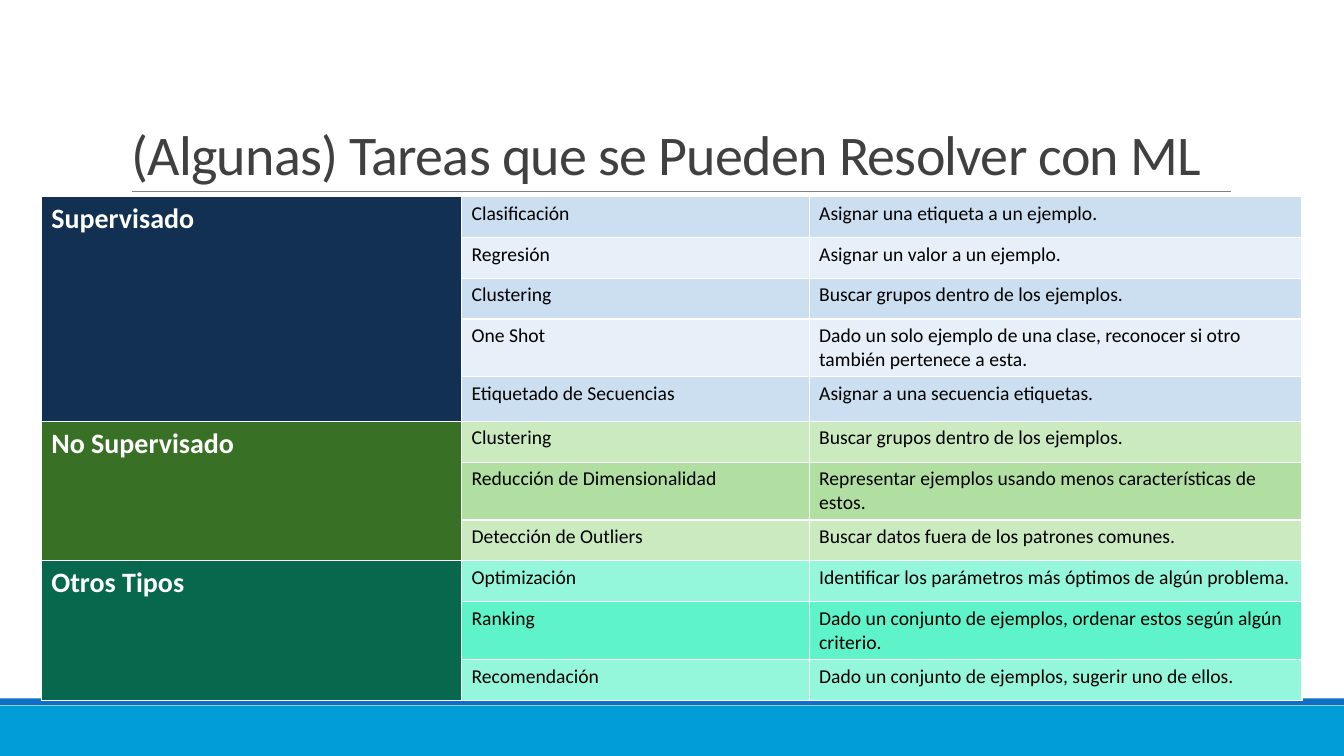
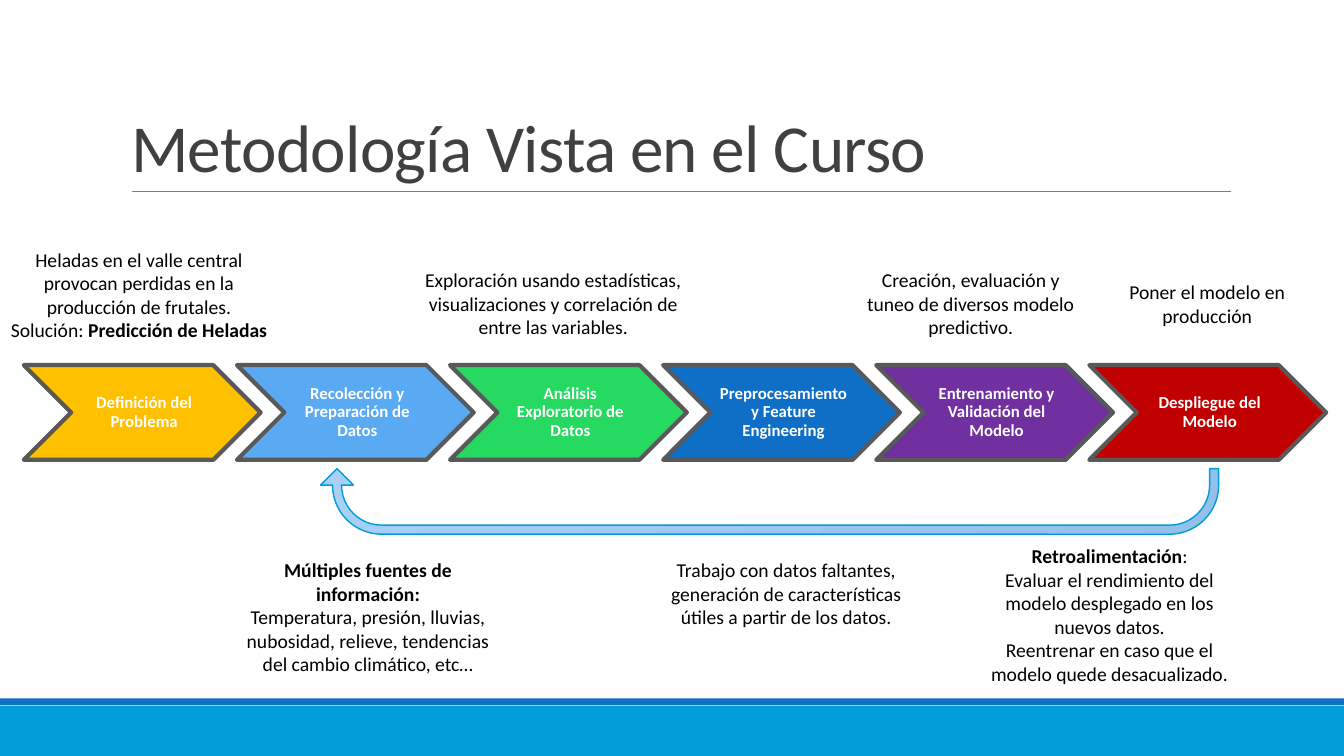
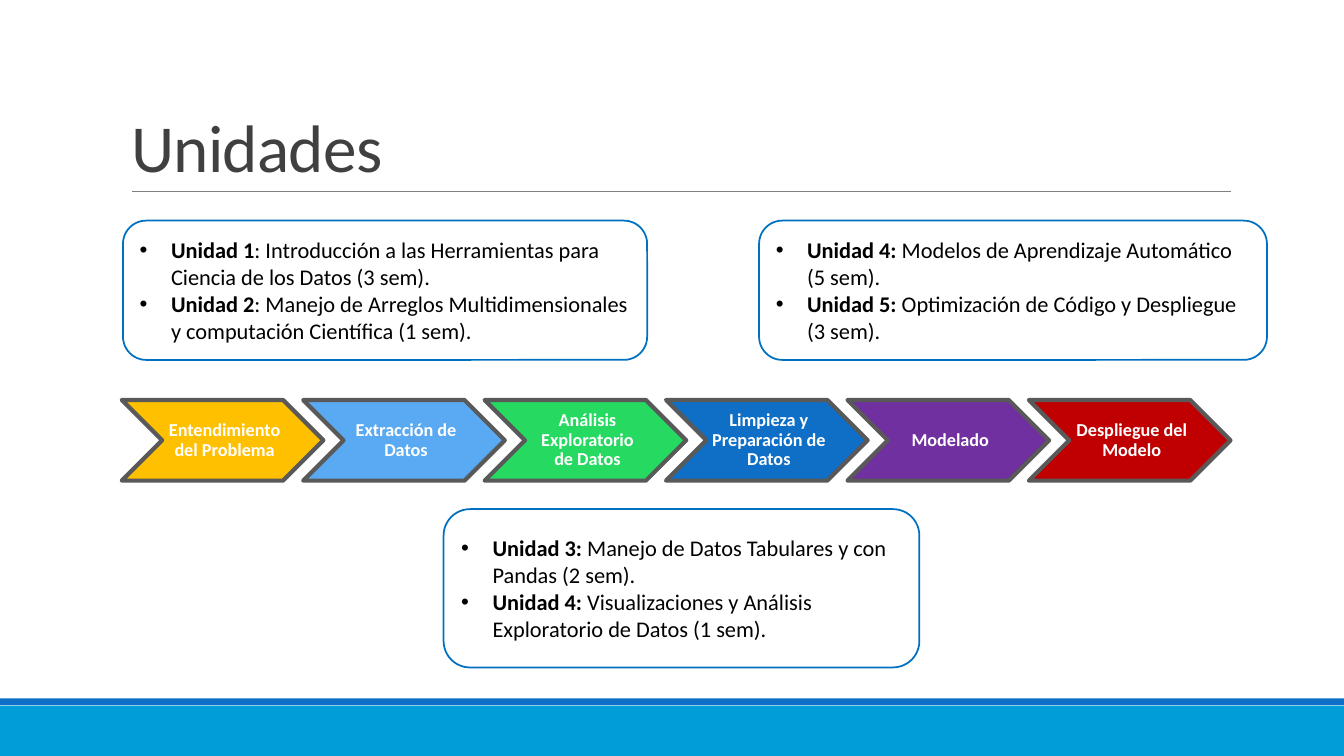
from pptx import Presentation
from pptx.dml.color import RGBColor
from pptx.enum.shapes import MSO_CONNECTOR, MSO_SHAPE
from pptx.enum.text import MSO_ANCHOR, PP_ALIGN
from pptx.oxml import parse_xml
from pptx.oxml.ns import nsdecls, qn
from pptx.util import Cm, Pt

RECT, ROUND = MSO_SHAPE.RECTANGLE, MSO_SHAPE.ROUNDED_RECTANGLE
CHEVRON, UTURN = MSO_SHAPE.CHEVRON, MSO_SHAPE.U_TURN_ARROW
STRAIGHT = MSO_CONNECTOR.STRAIGHT
MIDDLE, BOTTOM = MSO_ANCHOR.MIDDLE, MSO_ANCHOR.BOTTOM
LEFT, CENTER = PP_ALIGN.LEFT, PP_ALIGN.CENTER

FONT = "Calibri"
SLIDE_W, SLIDE_H = 33.87, 19.05
COLORS = {
    "white": "FFFFFF", "black": "000000", "title": "404040", "rule": "808080",
    "band": "009DD9", "stripe": "0F6FC6", "edge": "595959", "frame": "0070C0",
    "loop_start": "92C0E9", "loop_end": "A9D1F6",
}
STEP_COLORS = ["FFC000", "59AAF2", "25D961", "0F6FC6", "7030A0", "C00000"]

# Group name, header fill, the two alternating row fills, rows
TASKS = [
    ("Supervisado", "113052", ("CCDFF1", "E7EFF8"), [
        ("Clasificación", "Asignar una etiqueta a un ejemplo."),
        ("Regresión", "Asignar un valor a un ejemplo."),
        ("Clustering", "Buscar grupos dentro de los ejemplos."),
        ("One Shot", "Dado un solo ejemplo de una clase, reconocer si otro "
                     "también pertenece a esta."),
        ("Etiquetado de Secuencias", "Asignar a una secuencia etiquetas."),
    ]),
    ("No Supervisado", "387026", ("CBEAC0", "B0DFA1"), [
        ("Clustering", "Buscar grupos dentro de los ejemplos."),
        ("Reducción de Dimensionalidad",
         "Representar ejemplos usando menos características de estos."),
        ("Detección de Outliers", "Buscar datos fuera de los patrones comunes."),
    ]),
    ("Otros Tipos", "08684E", ("94F7DC", "5FF3CA"), [
        ("Optimización", "Identificar los parámetros más óptimos de algún problema."),
        ("Ranking", "Dado un conjunto de ejemplos, ordenar estos según algún criterio."),
        ("Recomendación", "Dado un conjunto de ejemplos, sugerir uno de ellos."),
    ]),
]

METHOD_STEPS = [
    "Definición del Problema", "Recolección y Preparación de Datos",
    "Análisis Exploratorio de Datos", "Preprocesamiento y Feature Engineering",
    "Entrenamiento y Validación del Modelo", "Despliegue del Modelo",
]
UNIT_STEPS = [
    "Entendimiento del Problema", "Extracción de Datos",
    "Análisis Exploratorio de Datos", "Limpieza y Preparación de Datos",
    "Modelado", "Despliegue del Modelo",
]

# Box (x, y, w, h) and paragraphs, each a list of (text, bold) runs
NOTES = [
    ((0, 6.12, 7.01, 2.64), [
        [("Heladas en el valle central provocan perdidas en la producción de frutales.", False)],
        [("Solución: ", False), ("Predicción de Heladas", True)]]),
    ((5.77, 13.94, 7.01, 3.25), [
        [("Múltiples fuentes de información:", True)],
        [("Temperatura, presión, lluvias, nubosidad, relieve, tendencias "
          "del cambio climático, etc…", False)]]),
    ((10.44, 6.63, 7.01, 2.06), [
        [("Exploración usando estadísticas, visualizaciones y correlación "
          "de entre las variables.", False)]]),
    ((16.31, 13.94, 7.01, 2.06), [
        [("Trabajo con datos faltantes, generación de características útiles "
          "a partir de los datos.", False)]]),
    ((27.58, 6.93, 5.69, 1.45), [[("Poner el modelo en producción", False)]]),
    ((21.34, 6.63, 6.25, 2.06), [
        [("Creación, evaluación y tuneo de diversos modelo predictivo.", False)]]),
    ((24.46, 13.59, 7.01, 3.84), [
        [("Retroalimentación", True), (":", False)],
        [("Evaluar el rendimiento del modelo desplegado en los nuevos datos.", False)],
        [("Reentrenar en caso que el modelo quede desacualizado.", False)]]),
]
UNITS = [
    ((19.13, 5.56, 12.8, 3.51), [
        [("Unidad 4:", True), (" Modelos de Aprendizaje Automático (5 sem).", False)],
        [("Unidad 5:", True), (" Optimización de Código y Despliegue (3 sem).", False)]]),
    ((11.18, 12.83, 11.99, 3.99), [
        [("Unidad 3:", True), (" Manejo de Datos Tabulares y con Pandas (2 sem).", False)],
        [("Unidad 4:", True),
         (" Visualizaciones y Análisis Exploratorio de Datos (1 sem).", False)]]),
    ((3.1, 5.56, 13.21, 3.51), [
        [("Unidad 1", True),
         (": Introducción a las Herramientas para Ciencia de los Datos (3 sem).", False)],
        [("Unidad 2", True),
         (": Manejo de Arreglos Multidimensionales y computación Científica (1 sem).", False)]]),
]


def rgb(name):
    return RGBColor.from_string(COLORS.get(name, name))


def style(font, size, color="black", bold=False):
    font.name, font.size, font.bold = FONT, Pt(size), bold
    font.color.rgb = rgb(color)


def add_shape(s, kind, box, fill=None, line=None, width=1):
    sp = s.shapes.add_shape(kind, *map(Cm, box))
    sp.shadow.inherit = False
    if fill:
        sp.fill.solid()
        sp.fill.fore_color.rgb = rgb(fill)
    else:
        sp.fill.background()
    if line:
        sp.line.color.rgb = rgb(line)
        sp.line.width = Pt(width)
    else:
        sp.line.fill.background()
    return sp


def write_paragraphs(tf, paragraphs, size, align, bullets=False):
    tf.word_wrap = True
    for i, runs in enumerate(paragraphs):
        p = tf.add_paragraph() if i else tf.paragraphs[0]
        p.alignment = align
        if bullets:
            pPr = p._p.get_or_add_pPr()
            pPr.set("marL", str(Cm(0.79)))
            pPr.set("indent", str(-Cm(0.79)))
            pPr.append(parse_xml(f'<a:buFont {nsdecls("a")} typeface="Arial"/>'))
            pPr.append(parse_xml(f'<a:buChar {nsdecls("a")} char="•"/>'))
        for text, bold in runs:
            r = p.add_run()
            r.text = text
            style(r.font, size, bold=bold)


# Shared layout: title style, bands and rule
def setup_layout(layout):
    title, *others = layout.placeholders
    for ph in others:
        ph.element.getparent().remove(ph.element)
    title.left, title.top, title.width, title.height = map(Cm, (3.05, 0.79, 27.94, 4.04))
    title.text_frame.vertical_anchor = BOTTOM
    lst = title.element.find(".//" + qn("a:lstStyle"))
    lst.clear()
    lst.append(parse_xml(
        f'<a:lvl1pPr {nsdecls("a")} algn="l"><a:lnSpc><a:spcPct val="85000"/></a:lnSpc>'
        f'<a:defRPr sz="4800" spc="-50"><a:solidFill><a:srgbClr val="{COLORS["title"]}"/>'
        f'</a:solidFill><a:latin typeface="{FONT}"/></a:defRPr></a:lvl1pPr>'))


def move_frame_to_layout(s):
    """Draw the bands and the rule, then hand them to the layout of the slide."""
    band = add_shape(s, RECT, (0, 17.78, SLIDE_W, 1.27), "band")
    stripe = add_shape(s, RECT, (0, 17.6, SLIDE_W, 0.17), "stripe")
    rule = s.shapes.add_connector(STRAIGHT, *map(Cm, (3.33, 4.83, 31.01, 4.83)))
    rule.line.color.rgb = rgb("rule")
    rule.line.width = Pt(0.5)
    rule.element.spPr.append(parse_xml(f'<a:effectLst {nsdecls("a")}/>'))
    for sp in (band, stripe, rule):
        s.slide_layout.shapes.element.append(sp.element)


def new_slide(prs, layout, title, size=48):
    s = prs.slides.add_slide(layout)
    s.shapes.title.text_frame.text = title
    s.shapes.title.text_frame.paragraphs[0].runs[0].font.size = Pt(size)
    return s


# Task table
def fill_cell(cell, text, fill, size, color="black", bold=False):
    cell.text_frame.text = text
    style(cell.text_frame.paragraphs[0].runs[0].font, size, color, bold)
    paint_cell(cell, fill)


def paint_cell(cell, fill):
    tcPr = cell._tc.get_or_add_tcPr()
    for side in ("lnL", "lnR", "lnT", "lnB"):
        tcPr.append(parse_xml(
            f'<a:{side} {nsdecls("a")} w="12700"><a:solidFill>'
            f'<a:srgbClr val="{COLORS["white"]}"/></a:solidFill></a:{side}>'))
    cell.fill.solid()
    cell.fill.fore_color.rgb = rgb(fill)


def add_task_table(s, x, y, col_widths, row_h):
    n = sum(len(rows) for *_, rows in TASKS)
    table = s.shapes.add_table(n, len(col_widths), Cm(x), Cm(y),
                               Cm(sum(col_widths)), Cm(row_h * n)).table
    table.first_row = table.horz_banding = False
    for col, width in zip(table.columns, col_widths):
        col.width = Cm(width)
    top = 0
    for name, head, fills, rows in TASKS:
        for i, (task, text) in enumerate(rows):
            fill_cell(table.cell(top + i, 1), task, fills[i % 2], 14)
            fill_cell(table.cell(top + i, 2), text, fills[i % 2], 14)
            if i:
                paint_cell(table.cell(top + i, 0), head)
        fill_cell(table.cell(top, 0), name, head, 20, "white", True)
        table.cell(top, 0).merge(table.cell(top + len(rows) - 1, 0))
        top += len(rows)


# Row of chevrons, each overlapping the next by a tenth of its width
def add_process(s, x, y, w, steps, size):
    step_w = w / (1 + 0.9 * (len(steps) - 1))
    for i, (text, color) in enumerate(zip(steps, STEP_COLORS)):
        sp = add_shape(s, CHEVRON, (x + 0.9 * step_w * i, y, step_w, 0.4 * step_w),
                       color, "edge", 3)
        tf = sp.text_frame
        tf.word_wrap = True
        tf.vertical_anchor = MIDDLE
        tf.margin_left = Cm(0.14)
        tf.margin_right = tf.margin_top = tf.margin_bottom = Cm(0.04)
        tf.text = text
        p = tf.paragraphs[0]
        p.alignment = CENTER
        p.line_spacing = 0.9
        style(p.runs[0].font, size, "white", True)


# Feedback arrow from the last step back to the second
def add_feedback_arrow(s, box):
    sp = add_shape(s, UTURN, box, line="band")
    sp.rotation = 180
    for i, value in enumerate((0.138, 0.25, 0.25, 0.75, 1)):
        sp.adjustments[i] = value
    sp.fill.gradient()
    for stop, color in zip(sp.fill.gradient_stops, ("loop_start", "loop_end")):
        stop.color.rgb = rgb(color)
    grad = sp.element.spPr.find(qn("a:gradFill"))
    grad.replace(grad.find(qn("a:lin")), parse_xml(
        f'<a:path {nsdecls("a")} path="circle">'
        '<a:fillToRect l="100000" t="100000"/></a:path>'))


def add_note(s, box, paragraphs):
    sp = s.shapes.add_textbox(*map(Cm, box))
    write_paragraphs(sp.text_frame, paragraphs, 14, CENTER)


def add_unit_box(s, box, paragraphs):
    sp = add_shape(s, ROUND, box, line="frame", width=1.25)
    sp.text_frame.vertical_anchor = MIDDLE
    write_paragraphs(sp.text_frame, paragraphs, 16, LEFT, bullets=True)


def main():
    prs = Presentation()
    prs.slide_width, prs.slide_height = Cm(SLIDE_W), Cm(SLIDE_H)
    layout = prs.slide_layouts[5]
    setup_layout(layout)

    # Tasks
    s = new_slide(prs, layout, "(Algunas) Tareas que se Pueden Resolver con ML", 40)
    move_frame_to_layout(s)
    add_task_table(s, 1.04, 4.95, (10.59, 8.76, 12.42), 1.03)

    # Methodology
    s = new_slide(prs, layout, "Metodología Vista en el Curso")
    add_process(s, 0.6, 9.2, 32.82, METHOD_STEPS, 12)
    add_feedback_arrow(s, (8.08, 11.81, 22.63, 1.65))
    for box, paragraphs in NOTES:
        add_note(s, box, paragraphs)

    # Units
    s = new_slide(prs, layout, "Unidades")
    add_process(s, 3.07, 10.08, 27.94, UNIT_STEPS, 13)
    for box, paragraphs in UNITS:
        add_unit_box(s, box, paragraphs)

    prs.save("out.pptx")


if __name__ == "__main__":
    main()
